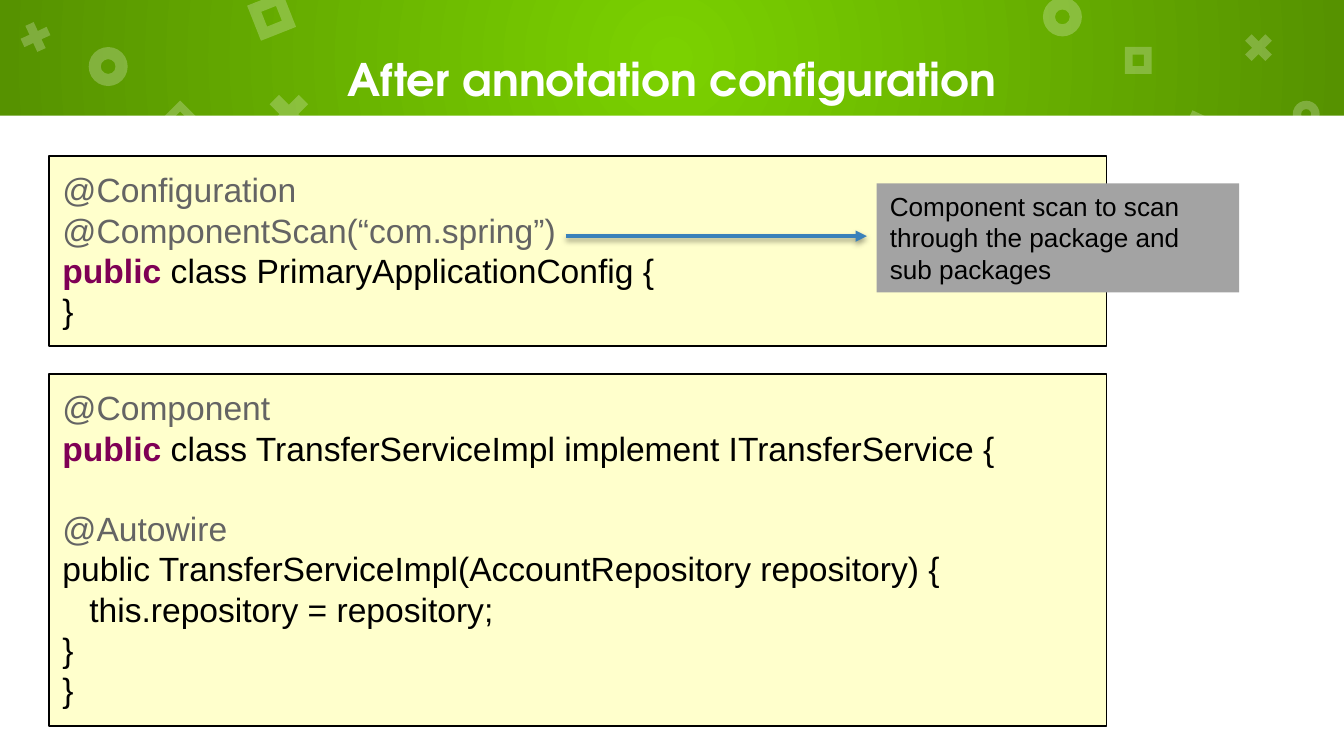
from lxml.etree import SubElement
from pptx import Presentation
from pptx.dml.color import RGBColor
from pptx.enum.shapes import MSO_CONNECTOR, MSO_SHAPE
from pptx.enum.text import MSO_ANCHOR, MSO_AUTO_SIZE, PP_ALIGN
from pptx.oxml import parse_xml
from pptx.oxml.ns import nsdecls, qn
from pptx.util import Pt

WIDTH, HEIGHT, BAND_HEIGHT = 720, 405, 62
GREEN, DARK_GREEN, WHITE, BLACK = "7BD100", "569200", "FFFFFF", "000000"
CODE_FILL, ANNOTATION, KEYWORD = "FFFFCC", "646464", "7F0055"
CALLOUT_FILL, ARROW = "A3A3A3", "3A81BA"

ADJUSTMENTS = {
    MSO_SHAPE.DONUT: 0.31,
    MSO_SHAPE.MATH_MULTIPLY: 0.235,
    MSO_SHAPE.FRAME: 0.289,
}
# kind, left, top, size, rotation
ORNAMENTS = [
    (MSO_SHAPE.DONUT, 47.5, 25.2, 20.9, 0),
    (MSO_SHAPE.MATH_MULTIPLY, 139.7, 46.1, 30.2, 0),
    (MSO_SHAPE.FRAME, 135.4, -1.4, 20.2, 338.4),
    (MSO_SHAPE.DONUT, 558.7, -1.4, 20.9, 0),
    (MSO_SHAPE.MATH_MULTIPLY, 556.6, 60.5, 30.2, 17.5),
    (MSO_SHAPE.FRAME, 633.6, 62.4, 20.2, 25),
    (MSO_SHAPE.DONUT, 21.6, 72, 14.4, 0),
    (MSO_SHAPE.MATH_MULTIPLY, 8.6, 9.4, 20.9, 20.4),
    (MSO_SHAPE.FRAME, 89.3, 56.9, 14.4, 45),
    (MSO_SHAPE.DONUT, 692.6, 54, 14.4, 0),
    (MSO_SHAPE.MATH_MULTIPLY, 663.8, 15.1, 20.9, 0),
    (MSO_SHAPE.FRAME, 602.6, 25.2, 14.4, 0),
]

# Each line: its runs, space before, left indent
CONFIG_CODE = [
    ([("@Configuration", ANNOTATION)], 0, 0),
    ([("@ComponentScan(“com.spring”)", ANNOTATION)], 0, 0),
    ([("public", KEYWORD), (" class PrimaryApplicationConfig {", BLACK)], 0, 0),
    ([("}", BLACK)], 0, 0),
]
SERVICE_CODE = [
    ([("@Component", ANNOTATION)], 0, 0),
    ([("public", KEYWORD),
      (" class TransferServiceImpl implement ITransferService {", BLACK)], 0, 0),
    ([("@Autowire", ANNOTATION)], 21.6, 0),
    ([("public TransferServiceImpl(AccountRepository repository) {", BLACK)], 0, 0),
    ([("this.repository = repository;", BLACK)], 0, 14.4),
    ([("}", BLACK)], 0, 0),
    ([("}", BLACK)], 0, 0),
]


def color(hex_string):
    return RGBColor.from_string(hex_string)


def style_run(run, size, font, hex_string, bold=False):
    run.font.size = Pt(size)
    run.font.name = font
    run.font.bold = bold
    run.font.color.rgb = color(hex_string)


def add_block(slide, kind, left, top, width, height, fill):
    block = slide.shapes.add_shape(kind, Pt(left), Pt(top), Pt(width), Pt(height))
    block.shadow.inherit = False
    block.fill.solid()
    block.fill.fore_color.rgb = color(fill)
    block.line.fill.background()
    return block


def set_insets(frame, inset):
    frame.margin_left = frame.margin_right = Pt(inset)
    frame.margin_top = frame.margin_bottom = Pt(inset)


def add_band(slide):
    """Green band, bright in the middle and darker towards its ends."""
    band = add_block(slide, MSO_SHAPE.RECTANGLE, 0, 0, WIDTH, BAND_HEIGHT, GREEN)
    properties = band._element.spPr
    solid = properties.find(qn("a:solidFill"))
    properties.replace(solid, parse_xml(
        f'<a:gradFill {nsdecls("a")} rotWithShape="1"><a:gsLst>'
        f'<a:gs pos="0"><a:srgbClr val="{GREEN}"/></a:gs>'
        f'<a:gs pos="100000"><a:srgbClr val="{DARK_GREEN}"/></a:gs></a:gsLst>'
        '<a:path path="circle">'
        '<a:fillToRect l="50000" t="50000" r="50000" b="50000"/>'
        '</a:path></a:gradFill>'))


def add_ornament(slide, kind, left, top, size, rotation):
    ornament = add_block(slide, kind, left, top, size, size, WHITE)
    ornament.adjustments[0] = ADJUSTMENTS[kind]
    ornament.rotation = rotation
    fill_color = ornament._element.spPr.find(qn("a:solidFill")).find(qn("a:srgbClr"))
    SubElement(fill_color, qn("a:alpha")).set("val", "24000")


def place_title(slide, text):
    title = slide.shapes.title
    slide.shapes._spTree.append(title._element)  # in front of the band
    title.left, title.top, title.width, title.height = Pt(68.4), Pt(0), Pt(583.2), Pt(83.8)
    frame = title.text_frame
    frame.text = text
    frame.auto_size = MSO_AUTO_SIZE.NONE
    frame.vertical_anchor = MSO_ANCHOR.MIDDLE
    set_insets(frame, 7.2)
    heading = frame.paragraphs[0]
    heading.alignment = PP_ALIGN.CENTER
    style_run(heading.runs[0], 24, "TeX Gyre Adventor", WHITE, bold=True)


def add_code(slide, top, height, lines):
    box = add_block(slide, MSO_SHAPE.RECTANGLE, 26.4, top, 566.4, height, CODE_FILL)
    box.line.color.rgb = color(BLACK)
    box.line.width = Pt(1)
    frame = box.text_frame
    frame.word_wrap = True
    frame.vertical_anchor = MSO_ANCHOR.TOP
    set_insets(frame, 7.2)
    for number, (pieces, space, indent) in enumerate(lines):
        line = frame.add_paragraph() if number else frame.paragraphs[0]
        line.alignment = PP_ALIGN.LEFT
        line.line_spacing = Pt(21.6)
        line.space_before = Pt(space)
        line._p.get_or_add_pPr().set("marL", str(Pt(indent)))
        for text, hex_string in pieces:
            run = line.add_run()
            run.text = text
            style_run(run, 18, "Arial", hex_string, bold=hex_string == KEYWORD)


def add_callout(slide, text):
    callout = add_block(slide, MSO_SHAPE.RECTANGLE, 469.6, 98.3, 194.2, 58.3, CALLOUT_FILL)
    frame = callout.text_frame
    frame.text = text
    frame.word_wrap = True
    frame.vertical_anchor = MSO_ANCHOR.TOP
    note = frame.paragraphs[0]
    note.alignment = PP_ALIGN.LEFT
    note.line_spacing = Pt(16.8)
    style_run(note.runs[0], 14, "Arial", BLACK)


def add_arrow(slide, start, end, y):
    arrow = slide.shapes.add_connector(
        MSO_CONNECTOR.STRAIGHT, Pt(start), Pt(y), Pt(end), Pt(y))
    arrow.line.color.rgb = color(ARROW)
    arrow.line.width = Pt(2)
    SubElement(arrow.line._get_or_add_ln(), qn("a:tailEnd")).set("type", "triangle")
    arrow._element.spPr.append(parse_xml(
        f'<a:effectLst {nsdecls("a")}>'
        f'<a:outerShdw blurRad="{Pt(3.1)}" dist="{Pt(1.6)}" dir="5400000" rotWithShape="0">'
        f'<a:srgbClr val="{BLACK}"><a:alpha val="38000"/></a:srgbClr>'
        '</a:outerShdw></a:effectLst>'))


def main():
    presentation = Presentation()
    presentation.slide_width, presentation.slide_height = Pt(WIDTH), Pt(HEIGHT)
    slide = presentation.slides.add_slide(presentation.slide_layouts[5])
    slide.background.fill.solid()
    slide.background.fill.fore_color.rgb = color(GREEN)

    add_band(slide)
    add_block(slide, MSO_SHAPE.RECTANGLE, 0, BAND_HEIGHT, WIDTH, HEIGHT - BAND_HEIGHT, WHITE)
    for ornament in ORNAMENTS:
        add_ornament(slide, *ornament)
    place_title(slide, "After annotation configuration")

    add_code(slide, 83.5, 101.8, CONFIG_CODE)
    add_code(slide, 200.2, 189, SERVICE_CODE)
    add_callout(slide, "Component scan to scan through the package and sub packages")
    add_arrow(slide, 303.1, 464.4, 126.5)
    presentation.save("out.pptx")


if __name__ == "__main__":
    main()
